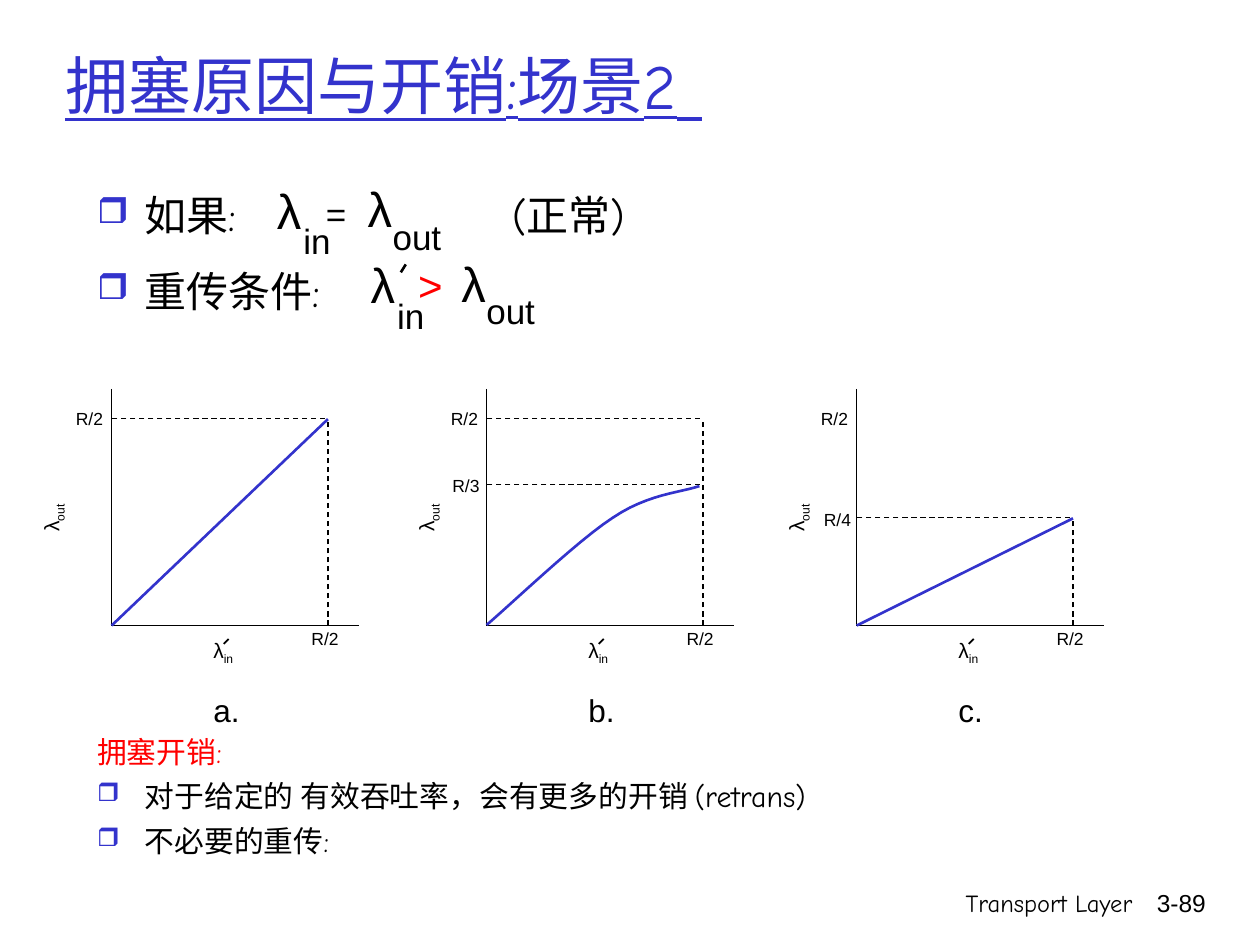
from lxml import etree
from pptx import Presentation
from pptx.dml.color import RGBColor
from pptx.enum.dml import MSO_LINE
from pptx.enum.shapes import MSO_CONNECTOR
from pptx.enum.text import MSO_ANCHOR, PP_ALIGN
from pptx.oxml.ns import qn
from pptx.util import Cm, Pt

LEFT, CENTER, RIGHT = PP_ALIGN.LEFT, PP_ALIGN.CENTER, PP_ALIGN.RIGHT
MIDDLE, TOP = MSO_ANCHOR.MIDDLE, MSO_ANCHOR.TOP
STRAIGHT, DASH = MSO_CONNECTOR.STRAIGHT, MSO_LINE.DASH
BLACK, BLUE, RED = "000000", "3333CC", "FF0000"
SANS, COMIC = "Arial", "Comic Neue"

color = RGBColor.from_string


def add_text(parent, box, paragraphs, size, font=SANS, ink=BLACK, align=LEFT,
             anchor=TOP, underline=None):
    """Each paragraph is a dict: runs, and optionally bullet, indent, before, spacing, ink."""
    label = parent.shapes.add_textbox(*[Cm(v) for v in box])
    frame = label.text_frame
    frame.word_wrap, frame.vertical_anchor = True, anchor
    for i, row in enumerate(paragraphs):
        para = frame.paragraphs[0] if i == 0 else frame.add_paragraph()
        para.alignment = align
        para.line_spacing = row.get("spacing")
        if i:
            para.space_before = Pt(row.get("before", 0))
        props = para._p.get_or_add_pPr()
        if row.get("indent"):
            props.set("marL", str(Cm(0.96)))
            props.set("indent", str(-Cm(0.96)))
        if row.get("bullet"):
            tint = etree.SubElement(props, qn("a:buClr"))
            etree.SubElement(tint, qn("a:srgbClr"), val=BLUE)
            etree.SubElement(props, qn("a:buSzPct"), val="85000")
            etree.SubElement(props, qn("a:buChar"), char="❒")
        for words, changes in row["runs"]:
            run = para.add_run()
            run.text = words
            style = {"name": font, "size": Pt(changes.get("size", size)), "underline": underline}
            for key, value in style.items():
                setattr(run.font, key, value)
            run.font.color.rgb = color(row.get("ink", ink))
            if "baseline" in changes:
                run._r.get_or_add_rPr().set("baseline", changes["baseline"])
    return label


def add_line(parent, x1, y1, x2, y2, ink=BLACK, width=0.75, dash=None):
    stroke = parent.shapes.add_connector(STRAIGHT, Cm(x1), Cm(y1), Cm(x2), Cm(y2))
    stroke.line.color.rgb = color(ink)
    stroke.line.width = Pt(width)
    stroke.line.dash_style = dash
    etree.SubElement(stroke._element.spPr, qn("a:effectLst"))


prs = Presentation()
prs.slide_width, prs.slide_height = Cm(25.4), Cm(19.05)
slide = prs.slides.add_slide(prs.slide_layouts[6])

# Footer and page number
for footer, font, box in [("Transport Layer", COMIC, (15.03, 17.78, 8.05, 1.27)),
                          ("3-89", SANS, (22.68, 17.78, 1.88, 1.27))]:
    add_text(slide, box, [{"runs": [(footer, {})]}], 14, font, align=RIGHT)

# Title
add_text(slide, (1.07, 0, 21.59, 3.18),
         [{"runs": [("拥塞原因与开销:场景2", {}), (" ", {"size": 44})]}],
         36, COMIC, BLUE, anchor=MIDDLE, underline=True)

# Conditions
add_text(slide, (1.71, 3.7, 23.14, 3.94),
         [{"runs": [("如果:", {})], "bullet": True, "indent": True},
          {"runs": [("重传条件:", {})], "bullet": True, "indent": True, "before": 6, "spacing": 1.3}],
         24, COMIC)
add_text(slide, (10.08, 3.7, 4, 1.3), [{"runs": [("(正常)", {})]}], 24, COMIC)

# Formulas: the second row repeats the first, shifted
formula_parts = [("λ", 28, 5.21, 3.51, 1.24, 1.45), ("in", 20, 5.77, 4.31, 1.24, 1.12),
                 ("λ", 28, 7.04, 3.48, 1.24, 1.45), ("out", 20, 7.57, 4.22, 1.67, 1.12)]
relations = [(0, 0, ("=", 20, 6.22, 3.76, 1.11, 1.12), BLACK),
             (1.89, 1.5, (">", 24, 6.19, 3.61, 1.19, 1.27), RED)]
for dx, dy, relation, relation_ink in relations:
    formula = slide.shapes.add_group_shape()
    for part in formula_parts + [relation]:
        symbol, size, x, y, w, h = part
        add_text(formula, (x + dx, y + dy, w, h), [{"runs": [(symbol, {})]}], size,
                 ink=relation_ink if part is relation else BLACK, align=CENTER)
add_line(formula, 8.08, 5.49, 8.18, 5.33, width=1.5)

# Cost of congestion
add_text(slide, (1.71, 14.66, 22.63, 2.74),
         [{"runs": [("拥塞开销:", {})], "indent": True, "ink": RED}]
         + [{"runs": [(cost, {})], "bullet": True, "indent": True, "before": 5}
            for cost in ("对于给定的 有效吞吐率，会有更多的开销 (retrans)", "不必要的重传:")],
         17, COMIC)

# Throughput plots: caption, origin x, dashed levels, extra label (text, dx, y),
# curve as Bezier points relative to the origin x
BASE, TOP_LEVEL, REACH = 12.61, 8.43, 4.36
plots = [
    ("a.", 2.25, [TOP_LEVEL], None, None),
    ("b.", 9.81, [TOP_LEVEL, 9.76], ("R/3", -0.94, 9.45),
     [(0, 12.6), (0.43, 12.24), (1.83, 10.9), (2.54, 10.44),
      (3.25, 9.96), (3.91, 9.93), (4.29, 9.8)]),
    ("c.", 17.27, [10.43], ("R/4", -0.91, 10.14), None),
]
for caption, x0, levels, level_label, bezier in plots:
    plot = slide.shapes.add_group_shape()

    # Axes and dashed guides
    add_line(plot, x0, 7.84, x0, BASE)
    add_line(plot, x0 + 4.98, BASE, x0, BASE)
    for level in levels:
        add_line(plot, x0 + 4.3, level, x0, level, dash=DASH)
    add_line(plot, x0 + REACH, BASE, x0 + REACH, levels[0] + 0.04, dash=DASH)

    # Throughput line or curve
    if bezier:
        points = []
        for start in (0, 3):
            p0, p1, p2, p3 = bezier[start:start + 4]
            for t in [step / 12 for step in range(13)]:
                points.append([(1 - t) ** 3 * a + 3 * (1 - t) ** 2 * t * b
                               + 3 * (1 - t) * t ** 2 * c + t ** 3 * d
                               for a, b, c, d in zip(p0, p1, p2, p3)])
        vertices = [(Cm(x0 + x), Cm(y)) for x, y in points]
        builder = plot.shapes.build_freeform(*vertices[0])
        builder.add_line_segments(vertices[1:], close=False)
        curve = builder.convert_to_shape()
        curve.shadow.inherit = False
        curve.fill.background()
        curve.line.color.rgb = color(BLUE)
        curve.line.width = Pt(1.5)
    else:
        add_line(plot, x0, BASE, x0 + REACH, levels[0] + 0.02, BLUE, 1.5)

    # Scale labels
    scale_labels = [("R/2", -0.97, 8.1), ("R/2", 3.78, 12.54)]
    if level_label:
        scale_labels.append(level_label)
    for value, dx, y in scale_labels:
        add_text(plot, (x0 + dx, y, 1.24, 0.69), [{"runs": [(value, {})]}], 10)

    # Axis names and caption
    lambda_in = [{"runs": [("λ", {}), ("in", {"baseline": "-25000"})]}]
    lambda_out = [{"runs": [("λ", {}), ("out", {"baseline": "-25000"})]}]
    add_text(plot, (x0 + 1.8, 12.73, 1.11, 0.84), lambda_in, 12)
    add_line(plot, x0 + 2.26, 12.98, x0 + 2.36, 12.88, width=1)
    add_text(plot, (x0 - 1.75, 9.98, 1.14, 0.84), lambda_out, 12).rotation = 270
    add_text(plot, (x0 + 1.8, 13.81, 1.24, 1.02), [{"runs": [(caption, {})]}], 18)

prs.save("out.pptx")
